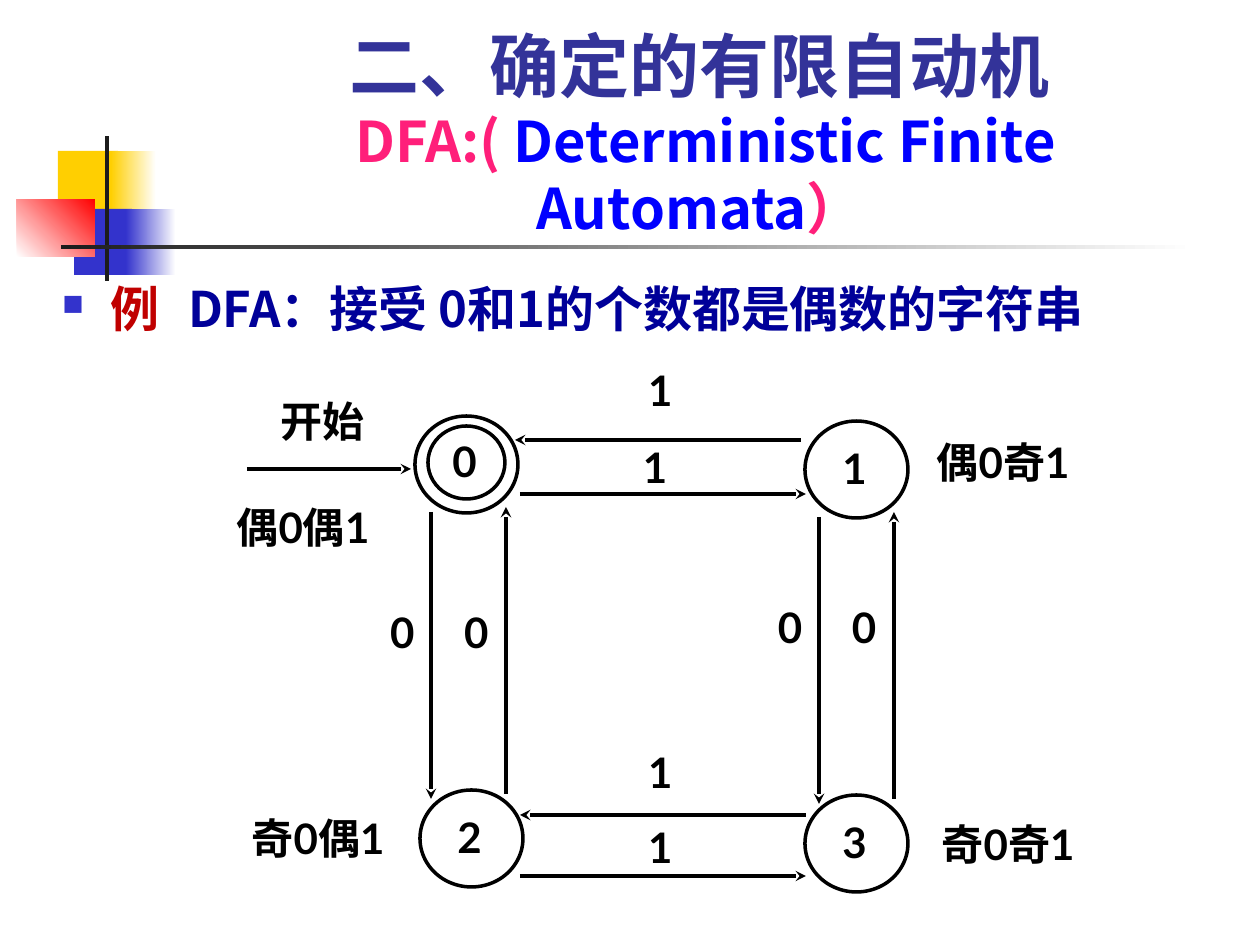
import dataclasses

import lxml.etree
import pptx
import pptx.dml.color
import pptx.enum.shapes
import pptx.enum.text
import pptx.oxml.ns
import pptx.util

EMU_PER_PX = 914400 / 126
SHAPES = pptx.enum.shapes.MSO_SHAPE
ALIGN = pptx.enum.text.PP_ALIGN
ANCHOR = pptx.enum.text.MSO_ANCHOR


@dataclasses.dataclass(frozen=True)
class Theme:
    # Colours
    white: str = "FFFFFF"
    ink: str = "000000"
    dark: str = "1C1C1C"
    yellow: str = "FFCF01"
    blue: str = "3333CC"
    red: str = "FF0000"
    title: str = "333399"
    pink: str = "FF1F7A"
    bright_blue: str = "0000FF"
    example: str = "C00000"
    body: str = "000099"
    # Fonts
    heading_font: str = "Noto Sans CJK JP"
    chinese_font: str = "Noto Sans CJK SC"
    diagram_font: str = "Lato"
    # Sizes in points
    title_size: int = 40
    subtitle_size: int = 32
    body_size: int = 28
    diagram_size: int = 24
    line_width: int = 2


THEME = Theme()


def px(*lengths):
    return [pptx.util.Emu(round(length * EMU_PER_PX)) for length in lengths]


def rgb(colour):
    return pptx.dml.color.RGBColor.from_string(colour)


def add_element(parent, tag, **attributes):
    name = pptx.oxml.ns.qn(tag)
    return lxml.etree.SubElement(parent, name, attributes)


def add_run(paragraph, text, size, font, colour, east_asian=None):
    run = paragraph.add_run()
    run.text = text
    run.font.size = pptx.util.Pt(size)
    run.font.bold = True
    run.font.name = font
    run.font.color.rgb = rgb(colour)
    add_element(run.font._element, "a:ea", typeface=east_asian or font)


def add_diagram_run(paragraph, text):
    add_run(paragraph, text, THEME.diagram_size, THEME.diagram_font,
            THEME.ink, THEME.chinese_font)


def set_frame(frame, insets, anchor=ANCHOR.TOP, wrap=True):
    frame.word_wrap = wrap
    frame.vertical_anchor = anchor
    (frame.margin_left, frame.margin_top,
     frame.margin_right, frame.margin_bottom) = px(*insets)
    return frame.paragraphs[0]


def add_text_box(slide, box, insets=(13, 6, 13, 6), **options):
    frame = slide.shapes.add_textbox(*px(*box)).text_frame
    return set_frame(frame, insets, **options)


def add_block(slide, box, start, end=None, angle=0):
    """Rectangle in one colour, or fading from start to end."""
    shape = slide.shapes.add_shape(SHAPES.RECTANGLE, *px(*box))
    shape.shadow.inherit = False
    shape.line.fill.background()
    if end is None:
        shape.fill.solid()
        shape.fill.fore_color.rgb = rgb(start)
        return
    shape.fill.gradient()
    shape.fill.gradient_angle = angle
    for stop, position, colour in zip(shape.fill.gradient_stops, (0, 1), (start, end)):
        stop.position = position
        stop.color.rgb = rgb(colour)


def add_circle(slide, box, name=""):
    shape = slide.shapes.add_shape(SHAPES.OVAL, *px(*box))
    shape.shadow.inherit = False
    shape.fill.background()
    shape.line.color.rgb = rgb(THEME.ink)
    shape.line.width = pptx.util.Pt(THEME.line_width)
    if name:
        paragraph = set_frame(shape.text_frame, (0, 0, 4, 4), ANCHOR.MIDDLE)
        paragraph.alignment = ALIGN.CENTER
        add_diagram_run(paragraph, name)


def add_arrow(slide, *ends):
    connector = slide.shapes.add_connector(
        pptx.enum.shapes.MSO_CONNECTOR.STRAIGHT, *px(*ends))
    connector.line.color.rgb = rgb(THEME.ink)
    connector.line.width = pptx.util.Pt(THEME.line_width)
    add_element(connector.line._get_or_add_ln(), "a:tailEnd", type="stealth")
    add_element(connector._element.spPr, "a:effectLst")


def add_label(slide, left, top, text, width=82):
    paragraph = add_text_box(slide, (left, top, width, 67), (13, 1, 13, 6))
    add_diagram_run(paragraph, text)


def add_caption(slide, left, top, text):
    paragraph = add_text_box(slide, (left, top, 210, 116), (8, 4, 8, 4),
                             anchor=ANCHOR.MIDDLE, wrap=False)
    paragraph.alignment = ALIGN.CENTER
    add_diagram_run(paragraph, text)


def add_decoration(slide):
    add_block(slide, (58, 151, 60, 66), THEME.yellow)
    add_block(slide, (111, 151, 45, 66), THEME.yellow, THEME.white)
    add_block(slide, (74, 209, 58, 66), THEME.blue)
    add_block(slide, (126, 209, 50, 66), THEME.blue, THEME.white)
    add_block(slide, (17, 199, 78, 58), THEME.white, THEME.red, angle=45)
    add_block(slide, (105, 136, 4, 145), THEME.dark)
    add_block(slide, (61, 245, 1134, 4), THEME.dark, THEME.white)


def add_title(slide):
    paragraph = add_text_box(slide, (163, 45, 1073, 202), anchor=ANCHOR.BOTTOM)
    paragraph.alignment = ALIGN.CENTER
    add_run(paragraph, "二、确定的有限自动机", THEME.title_size,
            THEME.heading_font, THEME.title)
    paragraph.add_line_break()
    for text, colour in ((" DFA:( ", THEME.pink),
                         ("Deterministic Finite Automata", THEME.bright_blue),
                         ("）", THEME.pink)):
        add_run(paragraph, text, THEME.subtitle_size, THEME.chinese_font, colour)


def add_example(slide):
    paragraph = add_text_box(slide, (49, 273, 1181, 123))
    properties = paragraph._p.get_or_add_pPr()
    indent = px(48)[0]
    properties.set("marL", str(indent))
    properties.set("indent", str(-indent))
    bullet_colour = add_element(properties, "a:buClr")
    add_element(bullet_colour, "a:srgbClr", val=THEME.blue)
    add_element(properties, "a:buSzPct", val="60000")
    add_element(properties, "a:buChar", char="■")
    for text, colour in (("例\t", THEME.example),
                         ("DFA：接受 0和1的个数都是偶数的字符串", THEME.body)):
        add_run(paragraph, text, THEME.body_size, THEME.heading_font, colour)


def add_automaton(slide):
    # States, the accepting one with a double ring
    for left, top, name in ((415, 416, ""), (805, 421, "1"),
                            (420, 790, "2"), (805, 795, "3")):
        add_circle(slide, (left, top, 103, 97), name)
    add_circle(slide, (428, 426, 77, 73), "0")

    # Start arrow
    add_arrow(slide, 247, 469, 411, 469)
    add_label(slide, 268, 394, "开始", width=204)

    # Transitions on 0: one pair for each column
    for left, top in ((431, 512), (819, 517)):
        add_arrow(slide, left, top, left, top + 287)
        add_arrow(slide, left + 75, top + 282, left + 75, top - 5)
        for label_left in (left - 54, left + 20):
            add_label(slide, label_left, top + 94 - (top - 512) * 2, "0")

    # Transitions on 1: one pair for each row
    for right, upper, lower in ((801, 440, 494), (806, 815, 876)):
        add_arrow(slide, right, upper, right - 286, upper)
        add_arrow(slide, 520, lower, 806, lower)
    for left, top in ((635, 363), (630, 440), (635, 746), (635, 820)):
        add_label(slide, left, top, "1")

    # Meaning of each state
    for left, top, text in ((198, 469, "偶0偶1"), (898, 404, "偶0奇1"),
                            (213, 780, "奇0偶1"), (903, 786, "奇0奇1")):
        add_caption(slide, left, top, text)


def main():
    presentation = pptx.Presentation()
    presentation.slide_width, presentation.slide_height = px(1260, 945)
    slide = presentation.slides.add_slide(presentation.slide_layouts[6])
    add_decoration(slide)
    add_example(slide)
    add_automaton(slide)
    add_title(slide)
    presentation.save("out.pptx")


if __name__ == "__main__":
    main()
